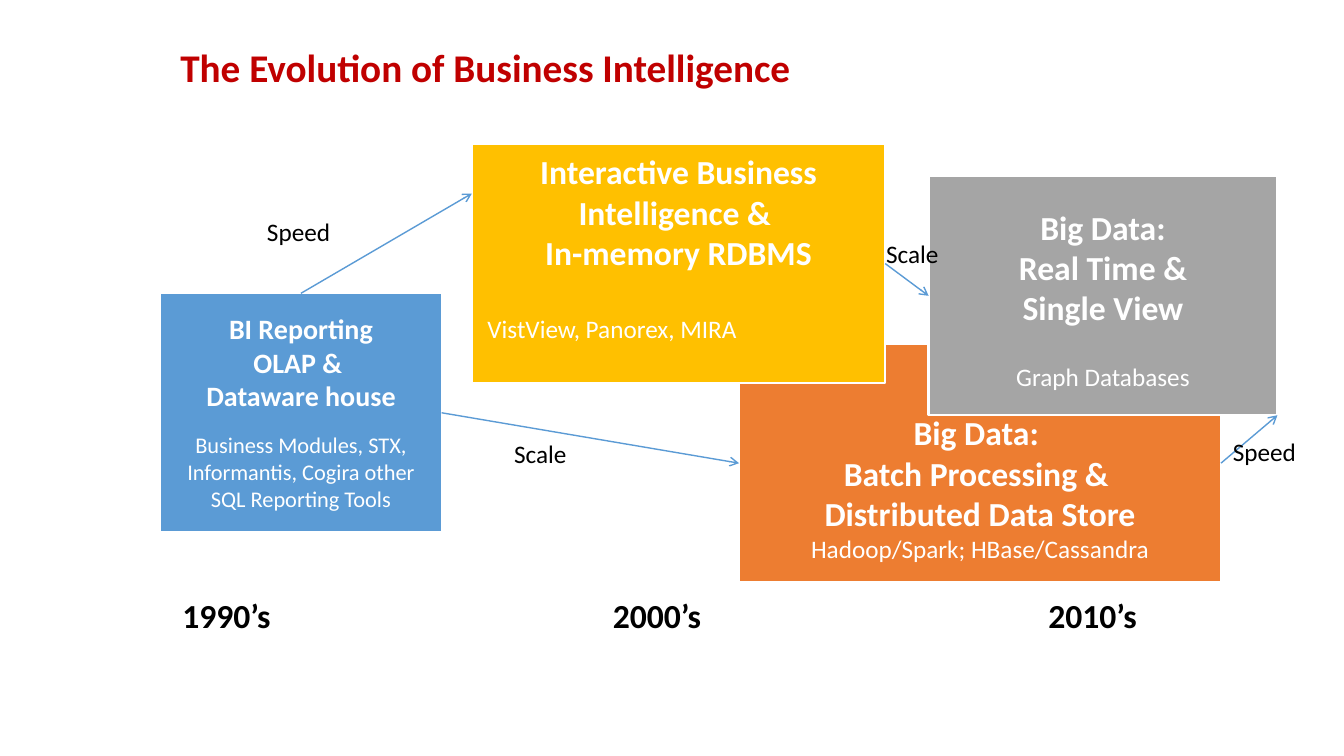
from dataclasses import dataclass
from typing import Optional

from lxml.etree import SubElement
from pptx import Presentation
from pptx.dml.color import RGBColor
from pptx.enum.shapes import MSO_CONNECTOR as Connector, MSO_SHAPE as Preset
from pptx.enum.text import MSO_ANCHOR as Anchor, PP_ALIGN as Align
from pptx.oxml.ns import qn
from pptx.util import Inches, Pt


@dataclass(frozen=True)
class Theme:
    font: str = "Calibri"
    white: str = "FFFFFF"
    black: str = "000000"
    title_red: str = "C00000"
    blue: str = "5B9BD5"
    orange: str = "ED7D31"
    yellow: str = "FFC000"
    gray: str = "A5A5A5"
    title_size: int = 28
    heading_size: int = 24
    small_heading_size: int = 20
    body_size: int = 18
    small_body_size: int = 16


THEME = Theme()
STAGE_HEIGHT = 2.37
TOP, LEFT, RIGHT = 0, 1, 3


@dataclass(frozen=True)
class Stage:
    name: str
    left: float
    top: float
    width: float
    color: str
    headings: tuple[str, ...]
    tools: str
    top_inset: float
    tools_gap: float = 0
    heading_size: int = THEME.heading_size
    tools_size: int = THEME.body_size
    tools_align: Align = Align.CENTER


@dataclass(frozen=True)
class Label:
    text: str
    left: float
    top: float
    width: float
    height: float
    size: int = THEME.body_size
    color: str = THEME.black
    bold: bool = False
    anchor: Anchor = Anchor.TOP
    line_spacing: float = 1.0


@dataclass(frozen=True)
class Arrow:
    start: tuple[float, float]
    end: tuple[float, float]
    source: Optional[tuple[str, int]] = None
    target: Optional[tuple[str, int]] = None


STAGES = (
    Stage("batch", 7.33, 3.41, 4.78, THEME.orange,
          ("Big Data: ", "Batch Processing & ", "Distributed Data Store"),
          "Hadoop/Spark; HBase/Cassandra", 0.68),
    Stage("reporting", 1.59, 2.91, 2.79, THEME.blue,
          ("BI Reporting", "OLAP & ", "Dataware house"),
          "Business Modules, STX, Informantis, Cogira other SQL Reporting Tools",
          0.18, 13.4, THEME.small_heading_size, THEME.small_body_size),
    Stage("interactive", 4.68, 1.43, 4.1, THEME.yellow,
          ("Interactive Business Intelligence & ", "In-memory RDBMS"),
          " VistView, Panorex, MIRA", 0.07, 29.3, tools_align=Align.LEFT),
    Stage("real_time", 9.21, 1.75, 3.46, THEME.gray,
          ("Big Data:", "Real Time &", "Single View"),
          "Graph Databases", 0.3, 24.4),
)

TITLE = Label("The Evolution of Business Intelligence", 1.69, 0.3, 9.45, 0.65,
              THEME.title_size, THEME.title_red, True, Anchor.BOTTOM, 0.9)
DECADES = tuple(
    Label(text, left, 5.85, 1.09, 0.5, THEME.heading_size, bold=True)
    for text, left in (("1990’s", 1.71), ("2000’s", 5.98), ("2010’s", 10.3))
)
DRIVERS = tuple(
    Label(text, left, top, width, 0.4)
    for text, left, top, width in (
        ("Speed", 2.55, 2.1, 0.84),
        ("Scale", 5, 4.3, 0.73),
        ("Scale", 8.69, 2.32, 0.73),
        ("Speed", 12.13, 4.28, 0.84),
    )
)

ARROWS = (
    Arrow((2.99, 2.91), (4.68, 1.92), source=("reporting", TOP)),
    Arrow((4.38, 4.09), (7.33, 4.59), ("reporting", RIGHT), ("batch", LEFT)),
    Arrow((8.78, 2.62), (9.21, 2.94), ("interactive", RIGHT), ("real_time", LEFT)),
    Arrow((12.11, 4.59), (12.67, 4.12), source=("batch", RIGHT)),
)


def format_runs(paragraph, size: int, color: str, bold: bool) -> None:
    for run in paragraph.runs:
        run.font.name = THEME.font
        run.font.size = Pt(size)
        run.font.bold = bold
        run.font.color.rgb = RGBColor.from_string(color)


def add_stage(slide, stage: Stage):
    shape = slide.shapes.add_shape(
        Preset.RECTANGLE, Inches(stage.left), Inches(stage.top),
        Inches(stage.width), Inches(STAGE_HEIGHT))
    shape.shadow.inherit = False
    shape.fill.solid()
    shape.fill.fore_color.rgb = RGBColor.from_string(stage.color)
    shape.line.color.rgb = RGBColor.from_string(THEME.white)
    shape.line.width = Pt(1.5)

    text_frame = shape.text_frame
    text_frame.word_wrap = True
    text_frame.vertical_anchor = Anchor.TOP
    text_frame.margin_top = Inches(stage.top_inset)
    text_frame.text = "\n".join((*stage.headings, stage.tools))
    *headings, tools = text_frame.paragraphs
    for paragraph in headings:
        paragraph.alignment = Align.CENTER
        format_runs(paragraph, stage.heading_size, THEME.white, True)
    tools.alignment = stage.tools_align
    tools.space_before = Pt(stage.tools_gap)
    format_runs(tools, stage.tools_size, THEME.white, False)
    return shape


def add_label(slide, label: Label) -> None:
    box = slide.shapes.add_textbox(
        Inches(label.left), Inches(label.top),
        Inches(label.width), Inches(label.height))
    text_frame = box.text_frame
    text_frame.word_wrap = label is TITLE
    text_frame.vertical_anchor = label.anchor
    text_frame.text = label.text
    paragraph = text_frame.paragraphs[0]
    paragraph.line_spacing = label.line_spacing
    format_runs(paragraph, label.size, label.color, label.bold)


def add_arrow(slide, arrow: Arrow, shapes: dict) -> None:
    connector = slide.shapes.add_connector(
        Connector.STRAIGHT, *map(Inches, (*arrow.start, *arrow.end)))
    if arrow.source:
        name, side = arrow.source
        connector.begin_connect(shapes[name], side)
    if arrow.target:
        name, side = arrow.target
        connector.end_connect(shapes[name], side)
    connector.line.color.rgb = RGBColor.from_string(THEME.blue)
    connector.line.width = Pt(1)
    # Open arrowhead, no shadow
    SubElement(connector.line._get_or_add_ln(), qn("a:tailEnd"), type="arrow")
    SubElement(connector._element.spPr, qn("a:effectLst"))


def main() -> None:
    presentation = Presentation()
    presentation.slide_width = Inches(13.33)
    presentation.slide_height = Inches(7.5)
    slide = presentation.slides.add_slide(presentation.slide_layouts[6])

    # Stages, overlapping from back to front
    shapes = {stage.name: add_stage(slide, stage) for stage in STAGES}

    # Arrows between the stages
    for arrow in ARROWS:
        add_arrow(slide, arrow, shapes)

    # Title, decades and arrow labels
    for label in (TITLE, *DECADES, *DRIVERS):
        add_label(slide, label)

    presentation.save("out.pptx")


if __name__ == "__main__":
    main()
